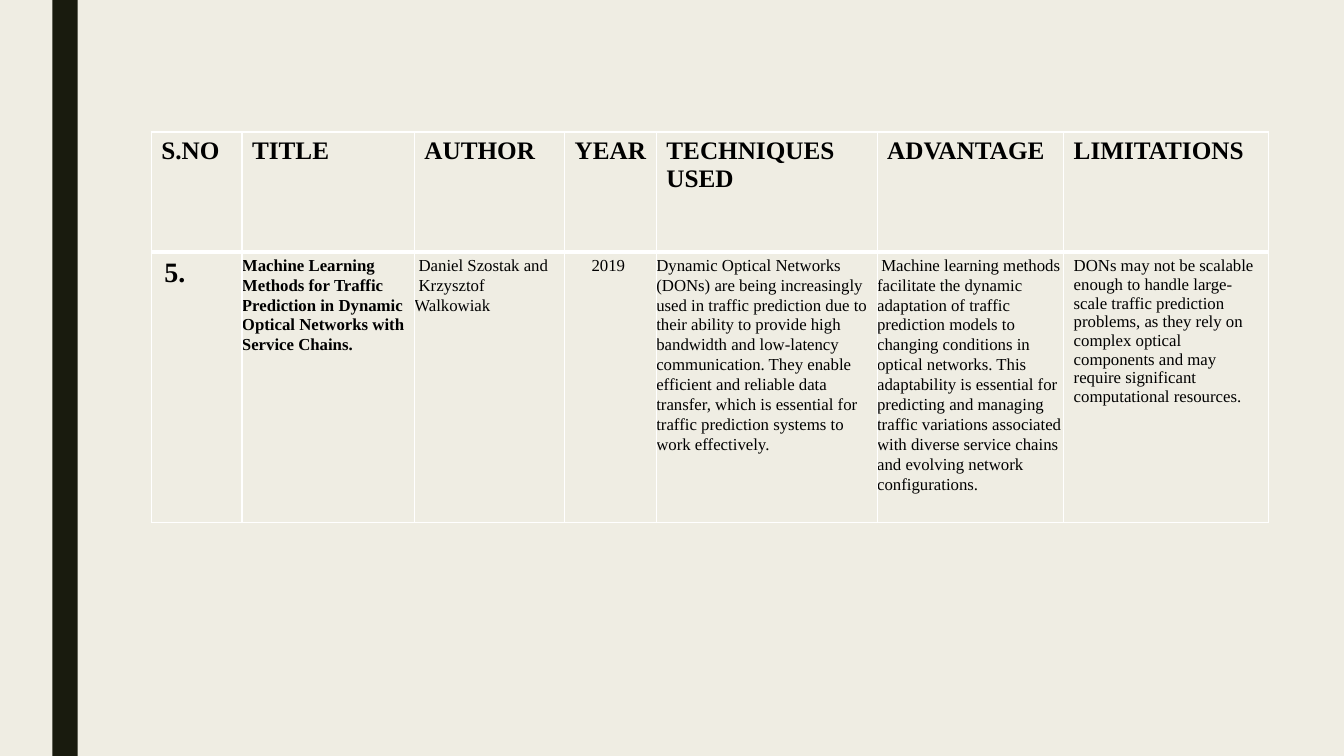
from lxml.etree import SubElement, Element
from pptx import Presentation
from pptx.dml.color import RGBColor
from pptx.enum.shapes import MSO_SHAPE as Shape
from pptx.enum.text import PP_ALIGN as Align
from pptx.oxml.ns import qn
from pptx.util import Inches, Pt

COLORS = {"paper": "EFEDE3", "bar": "191B0E", "text": "000000", "rule": "FFFFFF"}
COLUMNS = [("S.NO", 0.9), ("TITLE", 1.71), ("AUTHOR", 1.49), ("YEAR", 0.91),
           ("TECHNIQUES USED", 2.19), ("ADVANTAGE", 1.85), ("LIMITATIONS", 2.03)]
ROW_HEIGHTS = [1.19, 2.68]
TIGHT = {"insets": (0, 0.03, 0, 0), "spacing": 1.07}
STUDY = [
    ("5.", {**TIGHT, "size": 20, "bold": True, "indent": 0.13}),
    ("\tMachine Learning Methods for \tTraffic Prediction in Dynamic Optical "
     "Networks with Service Chains.", {**TIGHT, "bold": True, "tabs": (0.28, 1.25)}),
    (" Daniel Szostak and\n Krzysztof Walkowiak", {**TIGHT, "after": 0.6}),
    ("2019 ", {**TIGHT, "align": Align.CENTER}),
    ("Dynamic Optical Networks (DONs) are being increasingly used in traffic "
     "prediction due to their ability to provide high bandwidth and low-latency "
     "communication. They enable efficient and reliable data transfer, which is "
     "essential for traffic prediction systems to work effectively.", TIGHT),
    (" Machine learning methods facilitate the dynamic adaptation of traffic "
     "prediction models to changing conditions in optical networks. This "
     "adaptability is essential for predicting and managing traffic variations "
     "associated with diverse service chains and evolving network "
     "configurations.", TIGHT),
    ("DONs may not be scalable enough to handle large- scale traffic prediction "
     "problems, as they rely on complex optical components and may require "
     "significant computational resources.", {}),
]


def rgb(name):
    return RGBColor.from_string(COLORS[name])


def write_cell(cell, text, size=12, bold=False, align=Align.LEFT, spacing=1.0,
               after=0, indent=0, tabs=(), insets=(0.1, 0.05, 0.1, 0.05)):
    (cell.margin_left, cell.margin_top,
     cell.margin_right, cell.margin_bottom) = map(Inches, insets)
    for number, line in enumerate(text.split("\n")):
        frame = cell.text_frame
        paragraph = frame.add_paragraph() if number else frame.paragraphs[0]
        paragraph.alignment = align
        paragraph.line_spacing = spacing
        paragraph.space_after = Pt(after)
        props = paragraph._p.get_or_add_pPr()
        if indent:
            props.set("marL", str(Inches(indent)))
        if tabs:
            stops = SubElement(props, qn("a:tabLst"))
            for stop in tabs:
                SubElement(stops, qn("a:tab"), pos=str(Inches(stop)), algn="ctr")
        run = paragraph.add_run()
        run.text = line
        run.font.name = "Times New Roman"
        run.font.size = Pt(size)
        run.font.bold = bold
        run.font.color.rgb = rgb("text")


class SlideBuilder:
    def __init__(self, deck):
        self.slide = deck.slides.add_slide(deck.slide_layouts[6])
        background = self.slide.background.fill
        background.solid()
        background.fore_color.rgb = rgb("paper")

    def bar(self, left, top, width, height):
        bar = self.slide.shapes.add_shape(
            Shape.RECTANGLE, *map(Inches, (left, top, width, height)))
        bar.shadow.inherit = False
        bar.fill.solid()
        bar.fill.fore_color.rgb = rgb("bar")
        bar.line.fill.background()

    def borders(self, cell, top, bottom):
        props = cell._tc.get_or_add_tcPr()
        sides = {"a:lnL": 1, "a:lnR": 1, "a:lnT": top, "a:lnB": bottom}
        for position, (side, width) in enumerate(sides.items()):
            line = Element(qn(side), w=str(Pt(width)))
            fill = SubElement(line, qn("a:solidFill"))
            SubElement(fill, qn("a:srgbClr"), val=COLORS["rule"])
            props.insert(position, line)

    def table(self, left, top, columns, heights, entries):
        widths = [width for _, width in columns]
        table = self.slide.shapes.add_table(
            len(heights), len(columns), Inches(left), Inches(top),
            Inches(sum(widths)), Inches(sum(heights))).table
        table.first_row = table.horz_banding = False
        for column, width in zip(table.columns, widths):
            column.width = Inches(width)
        for row, height in zip(table.rows, heights):
            row.height = Inches(height)
        header = [(name, {"size": 18, "bold": True}) for name, _ in columns]
        rules = [(1, 3), (3, 1)]
        for row, line, rule in zip(table.rows, [header, entries], rules):
            for cell, (text, style) in zip(row.cells, line):
                cell.fill.background()
                self.borders(cell, *rule)
                write_cell(cell, text, **style)


def main():
    deck = Presentation()
    deck.slide_width, deck.slide_height = Inches(13.33), Inches(7.5)
    survey = SlideBuilder(deck)
    survey.bar(0.52, 0, 0.25, 7.5)
    survey.table(1.5, 1.31, COLUMNS, ROW_HEIGHTS, STUDY)
    deck.save("out.pptx")


if __name__ == "__main__":
    main()
